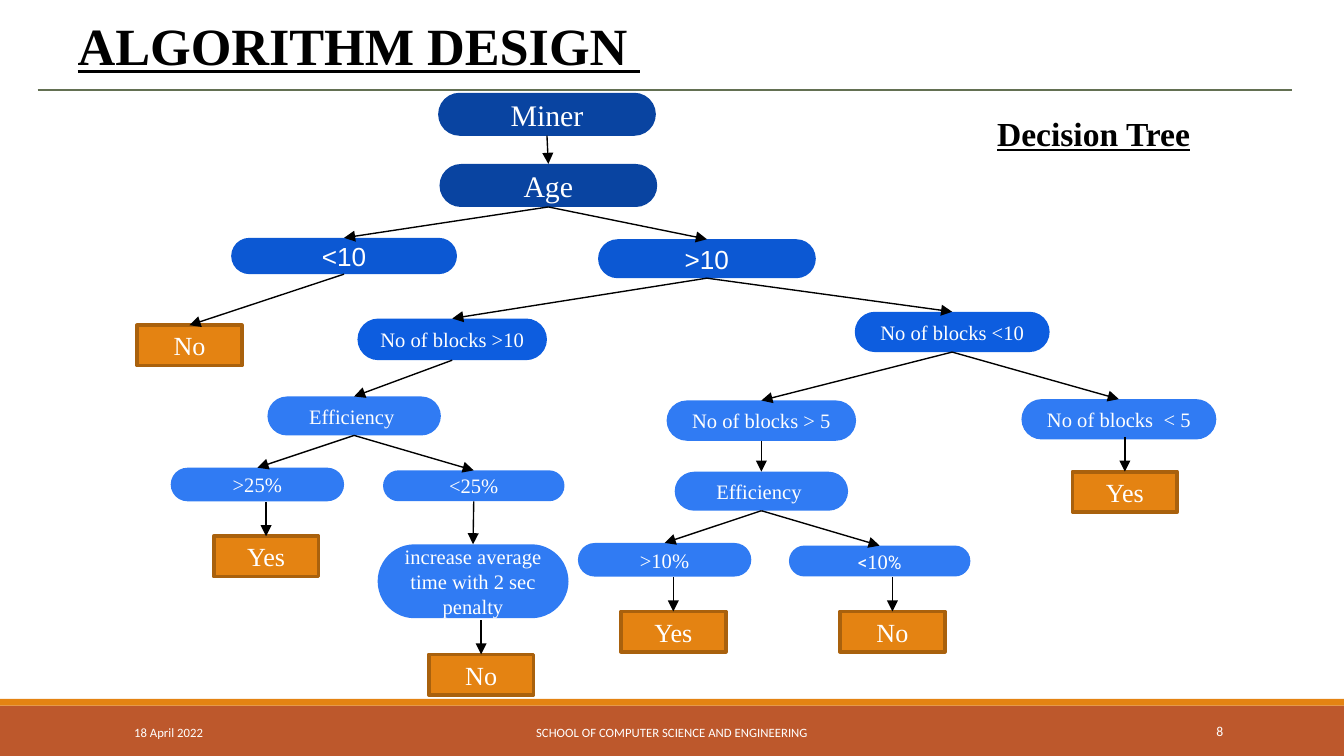
from lxml.etree import SubElement
from pptx import Presentation
from pptx.dml.color import RGBColor
from pptx.enum.shapes import MSO_CONNECTOR, MSO_SHAPE
from pptx.enum.text import MSO_ANCHOR as Anchor, PP_ALIGN as Align
from pptx.oxml.ns import qn
from pptx.util import Inches, Pt

COLUMNS, ROWS = 100, 56.25
CELL = 0.1
TOP, BOTTOM = 0, 2
SERIF, SANS, FOOTER, SYMBOL = "Times New Roman", "Arial", "Calibri", "Roboto"
NAVY, ROYAL, BLUE, SKY = "0944A1", "0C58D3", "0D5DDF", "307BF3"
ORANGE, BROWN, RUST, OLIVE = "E48312", "A9610D", "BD582C", "637052"
BLACK, WHITE = "000000", "FFFFFF"


def grid(*cells):
    return [Inches(cell * CELL) for cell in cells]


def color(hex_string):
    return RGBColor.from_string(hex_string)


def write(shape, text, size=11, font=SERIF, fill=WHITE, align=Align.CENTER,
          anchor=Anchor.MIDDLE, inset=1, heading=False, spacing=None):
    """Text is a string, or a list of (string, size, font) runs."""
    frame = shape.text_frame
    frame.word_wrap = True
    frame.vertical_anchor = anchor
    frame.margin_left, frame.margin_right = grid(1, 1)
    frame.margin_top, frame.margin_bottom = grid(inset, inset)
    paragraph = frame.paragraphs[0]
    paragraph.alignment = align
    if spacing:
        paragraph.line_spacing = spacing
    for words, run_size, run_font in [(text, size, font)] if isinstance(text, str) else text:
        run = paragraph.add_run()
        run.text = words
        run.font.size, run.font.name = Pt(run_size), run_font
        run.font.color.rgb = color(fill)
        if heading:
            run.font.bold = run.font.underline = True


class TreeSlide:
    """Places elements on a grid of tenth-inch cells."""

    def __init__(self, presentation):
        self.slide = presentation.slides.add_slide(presentation.slide_layouts[6])
        self.shapes = self.slide.shapes

    def box(self, place, fill, border=None, preset=MSO_SHAPE.RECTANGLE):
        shape = self.shapes.add_shape(preset, *grid(*place))
        shape.shadow.inherit = False
        shape.fill.solid()
        shape.fill.fore_color.rgb = color(fill)
        if border:
            shape.line.color.rgb = color(border)
            shape.line.width = Pt(2)
        else:
            shape.line.fill.background()
        return shape

    def node(self, place, fill, text, **text_format):
        shape = self.box(place, fill, preset=MSO_SHAPE.ROUNDED_RECTANGLE)
        shape.adjustments[0] = 0.5
        write(shape, text, **text_format)
        return shape

    def leaf(self, left, top, text):
        shape = self.box((left, top, 7.8, 3), ORANGE, BROWN)
        write(shape, text, size=14, inset=0.5)
        return shape

    def label(self, place, text, **text_format):
        write(self.shapes.add_textbox(*grid(*place)), text, **text_format)

    def line(self, start=(0, 0), end=(0, 0), stroke=BLACK):
        connector = self.shapes.add_connector(MSO_CONNECTOR.STRAIGHT, *grid(*start, *end))
        connector.line.color.rgb = color(stroke)
        connector.line.width = Pt(0.75)
        SubElement(connector.element.spPr, qn("a:effectLst"))
        return connector

    def arrow(self, child, parent=None, start=(0, 0)):
        """Points at the top of child, from the foot of parent or from start."""
        connector = self.line(start)
        if parent is not None:
            connector.begin_connect(parent, BOTTOM)
        connector.end_connect(child, TOP)
        outline = connector.element.spPr.find(qn("a:ln"))
        SubElement(outline, qn("a:tailEnd"), type="triangle")

    def outcome(self, left, top, text):
        """A leaf with a short vertical arrow above it."""
        self.arrow(self.leaf(left, top, text), start=(left + 3.9, top - 2.55))


def add_frame(page):
    page.box((0, 52.5, COLUMNS, ROWS - 52.5), RUST)
    page.box((0, 52, COLUMNS, 0.5), ORANGE)
    footer = dict(font=FOOTER, size=6.8, inset=0.5)
    page.label((9, 53, 20.3, 3), "18 April 2022", align=Align.LEFT, **footer)
    page.label((30.2, 53, 39.6, 3), "SCHOOL OF COMPUTER SCIENCE AND ENGINEERING", **footer)
    page.label((81.2, 53, 10.8, 3), "8", font=FOOTER, size=7.3, align=Align.RIGHT, spacing=0.8)
    page.line((2.8, 6.7), (96.1, 6.7), OLIVE)
    heading = dict(fill=BLACK, align=Align.LEFT, anchor=Anchor.TOP, heading=True)
    page.label((4.8, 0, 49.5, 6.7), "ALGORITHM DESIGN ", size=28, **heading)
    page.label((73.2, 7.9, 23.5, 4), "Decision Tree", size=18, inset=0.5, **heading)


def add_tree(page):
    root = dict(size=16)
    branch = dict(size=14, font=SANS)
    efficiency = [("Efficiency", 11, SERIF), (" ", 10, SYMBOL)]
    below_ten = [("<", 10, SYMBOL), ("10", 11, SERIF), ("%", 10, SYMBOL)]

    miner = page.node((32.6, 6.9, 16.2, 3.2), NAVY, "Miner", **root)
    age = page.node((32.7, 12.2, 16.2, 3.2), NAVY, "Age", **root)
    young = page.node((17.2, 17.7, 16.8, 2.7), ROYAL, "<10", **branch)
    old = page.node((44.5, 17.8, 16.2, 2.9), ROYAL, ">10", **branch)
    many = page.node((26.6, 23.7, 14.1, 3.1), BLUE, "No of blocks >10")
    few = page.node((63.6, 23.2, 14.5, 3), BLUE, "No of blocks <10")
    over_five = page.node((49.6, 29.8, 14.1, 3), SKY, "No of blocks > 5")
    under_five = page.node((76, 29.7, 14.5, 3), SKY, "No of blocks  < 5")
    many_efficiency = page.node((19.9, 29.5, 12.9, 2.9), SKY, efficiency)
    few_efficiency = page.node((50.2, 35.1, 12.9, 2.9), SKY, efficiency)
    over_25 = page.node((12.7, 34.8, 12.9, 2.5), SKY, ">25%")
    under_25 = page.node((28.5, 35, 13.5, 2.3), SKY, "<25%")
    over_10 = page.node((43, 40.4, 12.9, 2.5), SKY, ">10%")
    under_10 = page.node((58.7, 40.6, 13.5, 2.3), SKY, below_ten)
    penalty = page.node((28.1, 40.5, 14.2, 5.5), SKY, "increase average time with 2 sec penalty")
    young_no = page.leaf(10.2, 24.2, "No")

    for parent, children in (
        (miner, [age]),
        (age, [young, old]),
        (young, [young_no]),
        (old, [many, few]),
        (many, [many_efficiency]),
        (few, [over_five, under_five]),
        (over_five, [few_efficiency]),
        (many_efficiency, [over_25, under_25]),
        (few_efficiency, [over_10, under_10]),
        (under_25, [penalty]),
    ):
        for child in children:
            page.arrow(child, parent)

    for left, top, text in (
        (79.8, 35.1, "Yes"),
        (15.9, 39.9, "Yes"),
        (46.2, 45.5, "Yes"),
        (62.5, 45.5, "No"),
        (31.9, 48.7, "No"),
    ):
        page.outcome(left, top, text)


def main():
    presentation = Presentation()
    presentation.slide_width, presentation.slide_height = grid(COLUMNS, ROWS)
    page = TreeSlide(presentation)
    add_frame(page)
    add_tree(page)
    presentation.save("out.pptx")


if __name__ == "__main__":
    main()
